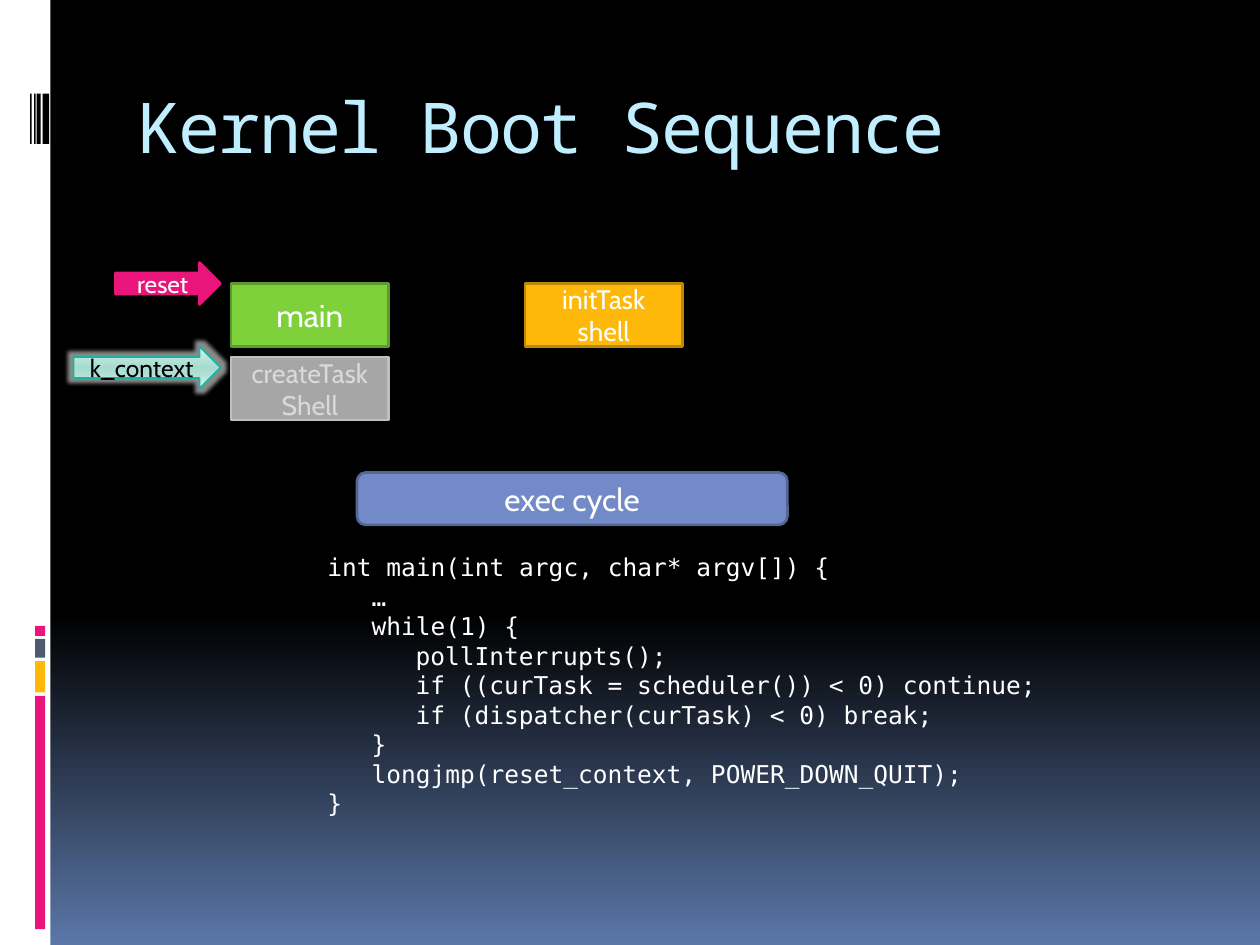
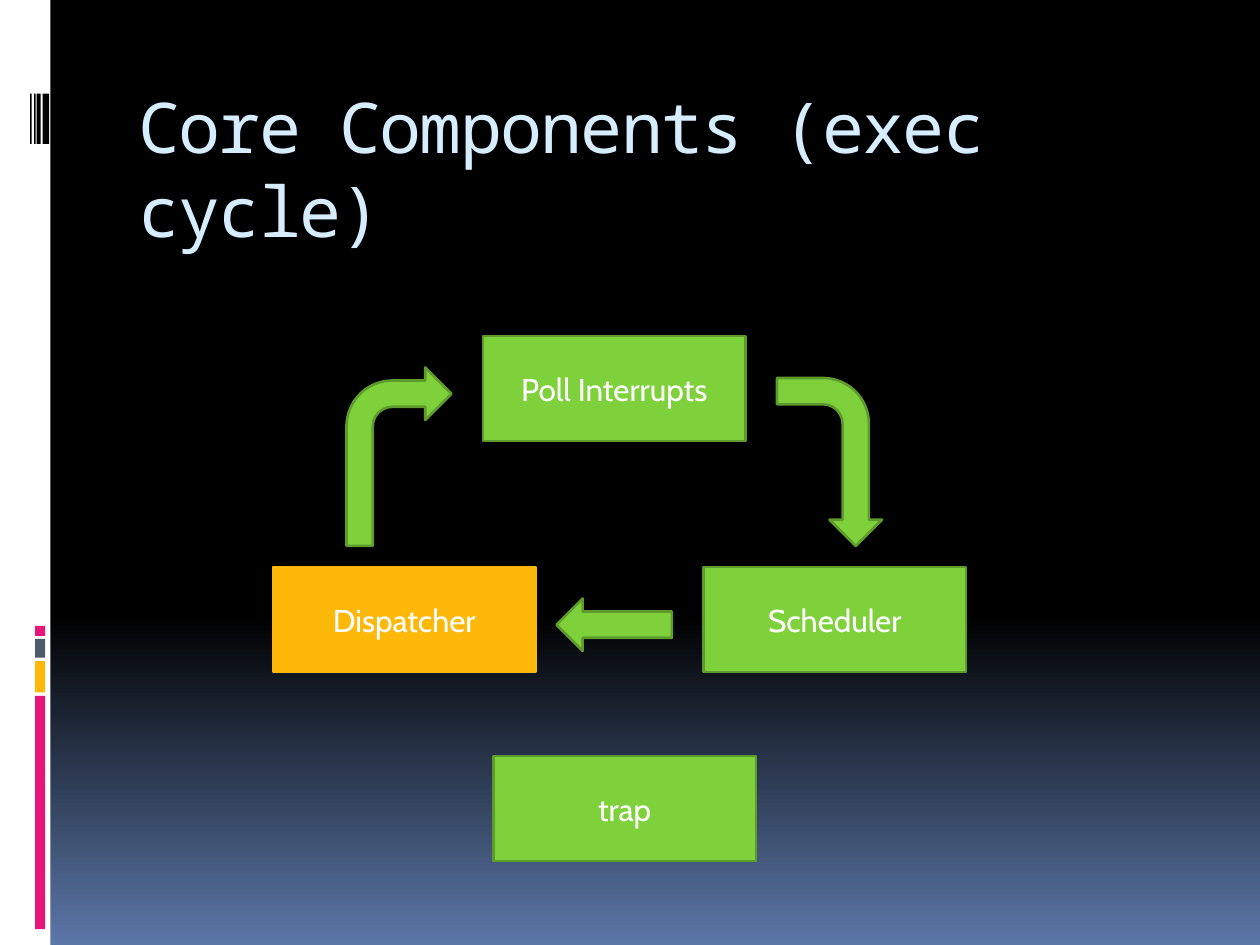
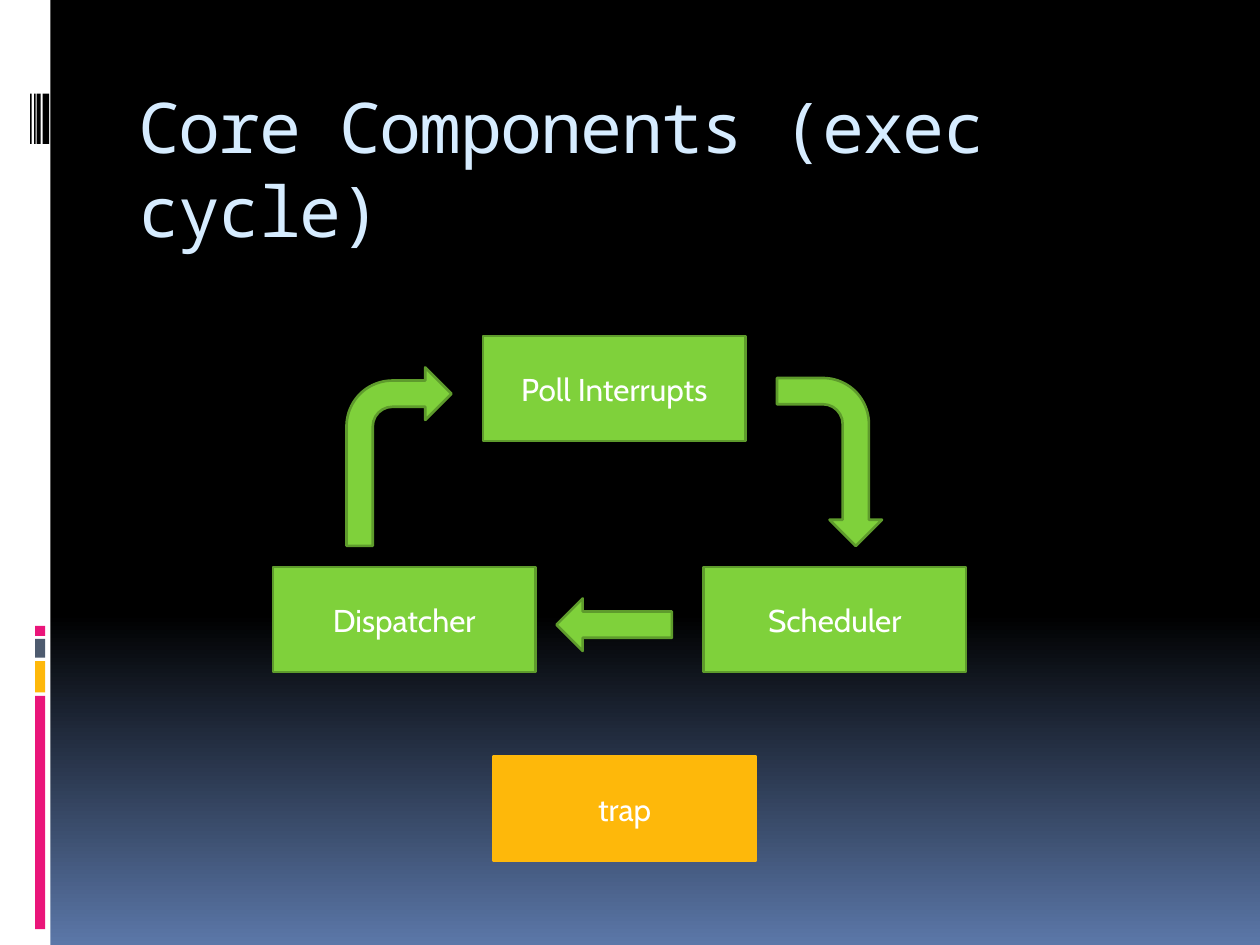
"""Builds three slides on a kernel boot sequence and its execution cycle."""
from dataclasses import dataclass

from lxml import etree
from pptx import Presentation
from pptx import util as u
from pptx.dml.color import RGBColor
from pptx.enum import shapes, text
from pptx.oxml.ns import qn


@dataclass(frozen=True)
class Theme:
    black: str = "000000"
    white: str = "FFFFFF"
    slate: str = "4E5B6F"
    pink: str = "EA157A"
    amber: str = "FEB80A"
    ice: str = "C1EEFF"
    pale: str = "D6ECFF"
    heading: str = "Noto Sans Mono"
    body: str = "Cabin"
    code: str = "DejaVu Sans Mono"
    title_size: float = 40
    label_size: float = 18
    fitted_size: float = 15.3
    small_size: float = 14
    outline: float = 1.5


THEME = Theme()
GRID = 2.54 / 12
CODE_INDENT = 0.89
KIND = shapes.MSO_SHAPE
BACKDROP = [(0, THEME.black), (65, THEME.black), (100, "5B77A8")]
MINT = [(0, "DFF1ED"), (40, "AFDFD4"), (50, "A7DDD1"), (65, "AFDFD4"), (100, "E6F4F0")]

STYLES = {
    "green": {"fill": "7FD13B", "line": "5E9B2C", "font": THEME.white},
    "amber": {"fill": THEME.amber, "line": "BC8807", "font": THEME.white},
    "active": {"fill": THEME.amber, "line": THEME.amber, "font": THEME.white},
    "pink": {"fill": THEME.pink, "line": THEME.pink, "font": THEME.white},
    "blue": {"fill": "738AC8", "line": "556694", "font": THEME.white},
    "done": {"fill": "A6A6A6", "line": "BFBFBF", "font": "D9D9D9"},
    "mint": {"fill": MINT, "line": "1AB39F", "font": THEME.black, "outline": 0.94, "glow": 5},
}

SIDE_BAND = [
    (0, 0, 1.02, 19.05, THEME.white),
    (0.71, 14.03, 0.2, 4.7, THEME.pink),
    (0.71, 13.33, 0.2, 0.63, THEME.amber),
    (0.71, 12.88, 0.2, 0.38, THEME.slate),
    (0.71, 12.62, 0.2, 0.2, THEME.pink),
] + [(left, 1.89, width, 1.01, THEME.black)
     for left, width in [(0.86, 0.13), (0.74, 0.08), (0.69, 0.03), (0.61, 0.03)]]

BOOT_SHAPES = [
    (KIND.RECTANGLE, (22, 27, 15, 6), "green", ["main"], THEME.label_size),
    (KIND.RIGHT_ARROW, (11, 25, 10, 4), "pink", ["reset"], THEME.small_size),
    (KIND.RECTANGLE, (50, 27, 15, 6), "amber", ["initTask", "shell"], THEME.fitted_size),
    (KIND.ROUNDED_RECTANGLE, (34, 45, 41, 5), "blue", ["exec cycle"], THEME.label_size),
    (KIND.RECTANGLE, (22, 34, 15, 6), "done", ["createTask", "Shell"], THEME.fitted_size),
    (KIND.RIGHT_ARROW, (7, 33, 14, 4), "mint", ["k_context"], THEME.small_size),
]
MAIN_LOOP = [
    (0, "int main(int argc, char* argv[]) {"),
    (1, "…"),
    (1, "while(1) {"),
    (2, "pollInterrupts();"),
    (2, "if ((curTask = scheduler()) < 0) continue;"),
    (2, "if (dispatcher(curTask) < 0) break;"),
    (1, "}"),
    (1, "longjmp(reset_context, POWER_DOWN_QUIT);"),
    (0, "}"),
]
CYCLE_BOXES = {"Poll Interrupts": (46, 32), "Scheduler": (67, 54),
               "Dispatcher": (26, 54), "trap": (47, 72)}
CYCLE_ARROWS = [
    (KIND.BENT_ARROW, (71, 39, 16, 10), 90),
    (KIND.LEFT_ARROW, (53, 57, 11, 5), 0),
    (KIND.BENT_ARROW, (33, 35, 10, 17), 0),
]
CYCLE_SLIDES = ["Dispatcher", "trap"]


def apply(target, values):
    for name, value in values.items():
        setattr(target, name, value)


def cells(place):
    return [u.Cm(count * GRID) for count in place]


def paint(fill, element, colour):
    if isinstance(colour, str):
        fill.solid()
        fill.fore_color.rgb = RGBColor.from_string(colour)
        return
    fill.gradient()
    fill.gradient_angle = 270
    stops = element.find(".//" + qn("a:gsLst"))
    for stop in list(stops):
        stops.remove(stop)
    for position, value in colour:
        stop = etree.SubElement(stops, qn("a:gs"), pos=str(position * 1000))
        etree.SubElement(stop, qn("a:srgbClr"), val=value)


def add_glow(shape, radius):
    effects = shape.element.spPr.find(qn("a:effectLst"))
    glow = etree.SubElement(effects, qn("a:glow"), rad=str(int(u.Pt(radius))))
    colour = etree.SubElement(glow, qn("a:srgbClr"), val=THEME.white)
    etree.SubElement(colour, qn("a:alpha"), val="55000")


def write(shape, lines, font, size, colour, align, spacing=None):
    frame = shape.text_frame
    frame.word_wrap = True
    for index, line in enumerate(lines):
        paragraph = frame.add_paragraph() if index else frame.paragraphs[0]
        apply(paragraph, {"alignment": align, "line_spacing": spacing})
        run = paragraph.add_run()
        run.text = line
        apply(run.font, {"name": font, "size": u.Pt(size)})
        run.font.color.rgb = RGBColor.from_string(colour)


def add_shape(slide, kind, place, style, lines=(), size=THEME.label_size):
    shape = slide.shapes.add_shape(kind, *cells(place))
    look = STYLES[style]
    shape.shadow.inherit = False
    paint(shape.fill, shape.element, look["fill"])
    shape.line.color.rgb = RGBColor.from_string(look["line"])
    shape.line.width = u.Pt(look.get("outline", THEME.outline))
    if "glow" in look:
        add_glow(shape, look["glow"])
    shape.text_frame.vertical_anchor = text.MSO_ANCHOR.MIDDLE
    write(shape, lines, THEME.body, size, look["font"], text.PP_ALIGN.CENTER)
    return shape


def add_title(slide, title, colour):
    shape = slide.shapes.add_textbox(u.Cm(2.54), u.Cm(1.42), u.Cm(21.59), u.Cm(2.54))
    shape.text_frame.margin_top = u.Cm(0.26)
    write(shape, [title], THEME.heading, THEME.title_size, colour,
          text.PP_ALIGN.LEFT, u.Pt(48))
    for properties in shape.element.iter(qn("a:rPr")):
        properties.set("spc", "-100")


def add_code(slide, place, code):
    shape = slide.shapes.add_textbox(*cells(place))
    write(shape, [line for level, line in code], THEME.code, THEME.small_size,
          THEME.white, text.PP_ALIGN.LEFT, u.Pt(16.86))
    for (level, line), properties in zip(code, shape.element.iter(qn("a:pPr"))):
        properties.set("marL", str(int(u.Cm(level * CODE_INDENT))))


def dress_layout(layout, slide):
    paint(layout.background.fill, layout.element, BACKDROP)
    for left, top, width, height, colour in SIDE_BAND:
        shape = slide.shapes.add_shape(
            KIND.RECTANGLE, *map(u.Cm, (left, top, width, height)))
        shape.shadow.inherit = False
        paint(shape.fill, shape.element, colour)
        shape.line.fill.background()
        layout.shapes.element.append(shape.element)


def build_boot(slide):
    add_title(slide, "Kernel Boot Sequence", THEME.ice)
    for kind, place, style, lines, size in BOOT_SHAPES:
        add_shape(slide, kind, place, style, lines, size)
    add_code(slide, (30, 52, 71, 26.6), MAIN_LOOP)


def build_cycle(slide, active):
    add_title(slide, "Core Components (exec cycle)", THEME.pale)
    for label, corner in CYCLE_BOXES.items():
        style = "active" if label == active else "green"
        add_shape(slide, KIND.RECTANGLE, (*corner, 25, 10), style, [label])
    for kind, place, rotation in CYCLE_ARROWS:
        add_shape(slide, kind, place, "green").rotation = rotation


def main():
    presentation = Presentation()
    apply(presentation, {"slide_width": u.Cm(25.4), "slide_height": u.Cm(19.05)})
    blank = presentation.slide_layouts[6]
    boot = presentation.slides.add_slide(blank)
    dress_layout(blank, boot)
    build_boot(boot)
    for active in CYCLE_SLIDES:
        build_cycle(presentation.slides.add_slide(blank), active)
    presentation.save("out.pptx")


main()
